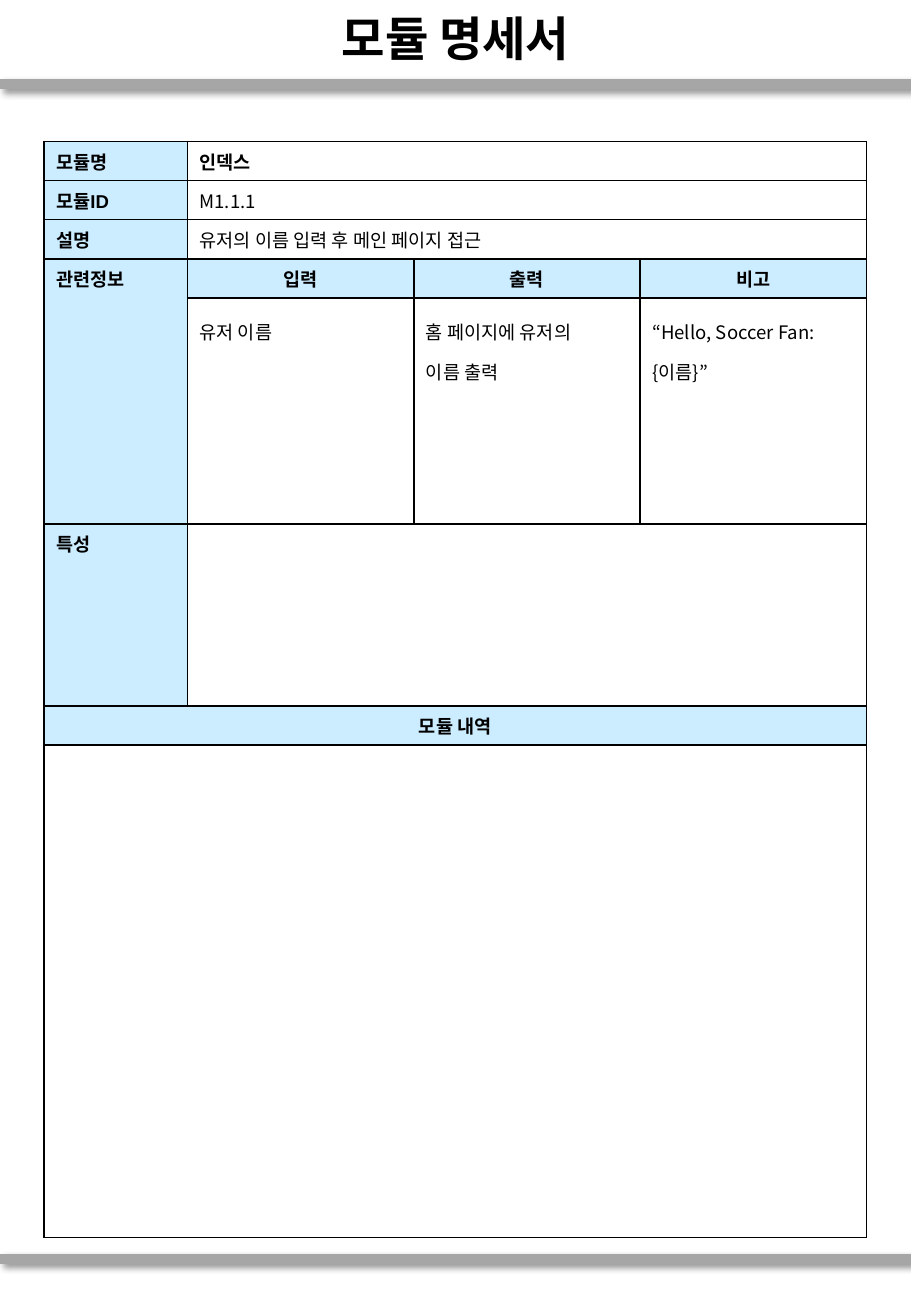
"""Builds the one-page module specification form."""
import pptx
import pptx.dml.color
import pptx.enum.shapes
import pptx.enum.text
import pptx.oxml
import pptx.oxml.ns
import pptx.util

Pt = pptx.util.Pt
ALIGN = pptx.enum.text.PP_ALIGN
ANCHOR = pptx.enum.text.MSO_ANCHOR

COLORS = {"text": "000000", "rule": "A6A6A6", "label": "CCECFF", "value": "FFFFFF"}
LABEL_FONT = "Arial"
KOREAN_FONT = "Noto Sans CJK KR"
NAMESPACE = pptx.oxml.ns.nsdecls("a")

PAGE_WIDTH, PAGE_HEIGHT = 540, 779.76
RULE_TOPS = (49.8, 745.8)
TABLE_LEFT, TABLE_TOP = 26.1, 83.8
LINE_HEIGHT = 23.1
COLUMN_WIDTHS = (85, 134.2, 134.2, 134.2)
ROW_HEIGHTS = (*[LINE_HEIGHT] * 4, 133.9, 107.9, LINE_HEIGHT, 291.6)

FIELDS = (
    ("모듈명", "인덱스", True),
    ("모듈ID", "M1.1.1", False),
    ("설명", "유저의 이름 입력 후 메인 페이지 접근", False),
)
RELATED = (
    ("입력", ("유저 이름",)),
    ("출력", ("홈 페이지에 유저의", "이름 출력")),
    ("비고", ("“Hello, Soccer Fan:", "{이름}”")),
)


def rgb(name):
    return pptx.dml.color.RGBColor.from_string(COLORS[name])


def add_span(para, text, size, font, bold):
    span = para.add_run()
    span.text = text
    span.font.size = Pt(size)
    span.font.bold = bold
    span.font.name = font
    span.font.color.rgb = rgb("text")
    east_asian = f'<a:ea {NAMESPACE} typeface="{KOREAN_FONT}"/>'
    span.font._element.append(pptx.oxml.parse_xml(east_asian))


def add_title(page, text):
    title = page.shapes.title
    title.left, title.top = Pt(0), Pt(0.7)
    title.width, title.height = Pt(PAGE_WIDTH), Pt(43.2)
    frame = title.text_frame
    frame.vertical_anchor = ANCHOR.MIDDLE
    frame.auto_size = pptx.enum.text.MSO_AUTO_SIZE.NONE
    para = frame.paragraphs[0]
    para.alignment = ALIGN.CENTER
    add_span(para, text, 28, KOREAN_FONT, True)


def add_rule(page, top):
    rule = page.shapes.add_connector(
        pptx.enum.shapes.MSO_CONNECTOR.STRAIGHT, Pt(0), Pt(top), Pt(PAGE_WIDTH), Pt(top))
    rule.line.width = Pt(6)
    rule.line.color.rgb = rgb("rule")
    rule._element.spPr.append(pptx.oxml.parse_xml(
        f'<a:effectLst {NAMESPACE}><a:outerShdw blurRad="{Pt(4)}" dist="{Pt(3)}" '
        'dir="2700000" algn="tl" rotWithShape="0"><a:srgbClr val="000000">'
        '<a:alpha val="40000"/></a:srgbClr></a:outerShdw></a:effectLst>'))


def add_grid(page):
    grid = page.shapes.add_table(
        len(ROW_HEIGHTS), len(COLUMN_WIDTHS), Pt(TABLE_LEFT), Pt(TABLE_TOP),
        Pt(sum(COLUMN_WIDTHS)), Pt(sum(ROW_HEIGHTS))).table
    grid.first_row = grid.horz_banding = False
    for column, width in zip(grid.columns, COLUMN_WIDTHS):
        column.width = Pt(width)
    for row, height in zip(grid.rows, ROW_HEIGHTS):
        row.height = Pt(height)
    for cell in grid.iter_cells():
        properties = cell._tc.get_or_add_tcPr()
        for side in "LRTB":
            properties.append(pptx.oxml.parse_xml(
                f'<a:ln{side} {NAMESPACE} w="{Pt(1)}"><a:solidFill>'
                f'<a:srgbClr val="{COLORS["text"]}"/></a:solidFill></a:ln{side}>'))
        cell.fill.solid()
        cell.fill.fore_color.rgb = rgb("value")
    return grid


def write_cell(cell, lines, font=KOREAN_FONT, bold=False, align=ALIGN.LEFT, spacing=1.0):
    frame = cell.text_frame
    for index, line in enumerate(lines):
        para = frame.add_paragraph() if index else frame.paragraphs[0]
        para.alignment = align
        para.line_spacing = spacing
        add_span(para, line, 11, font, bold)


def write_label(cell, text, align=ALIGN.LEFT):
    cell.fill.fore_color.rgb = rgb("label")
    write_cell(cell, (text,), LABEL_FONT, True, align)


def fill_grid(grid):
    for row, (label, value, bold) in enumerate(FIELDS):
        write_label(grid.cell(row, 0), label)
        write_cell(grid.cell(row, 1), (value,), bold=bold)
    write_label(grid.cell(3, 0), "관련정보")
    for column, (heading, lines) in enumerate(RELATED, start=1):
        write_label(grid.cell(3, column), heading, ALIGN.CENTER)
        write_cell(grid.cell(4, column), lines, spacing=1.5)
    write_label(grid.cell(5, 0), "특성")
    write_label(grid.cell(6, 0), "모듈 내역", ALIGN.CENTER)
    for row in (0, 1, 2, 5):
        grid.cell(row, 1).merge(grid.cell(row, 3))
    for row in (6, 7):
        grid.cell(row, 0).merge(grid.cell(row, 3))
    grid.cell(3, 0).merge(grid.cell(4, 0))


def main():
    deck = pptx.Presentation()
    deck.slide_width, deck.slide_height = Pt(PAGE_WIDTH), Pt(PAGE_HEIGHT)
    page = deck.slides.add_slide(deck.slide_layouts.get_by_name("Title Only"))
    for top in RULE_TOPS:
        add_rule(page, top)
    add_title(page, "모듈 명세서")
    fill_grid(add_grid(page))
    deck.save("out.pptx")


if __name__ == "__main__":
    main()
